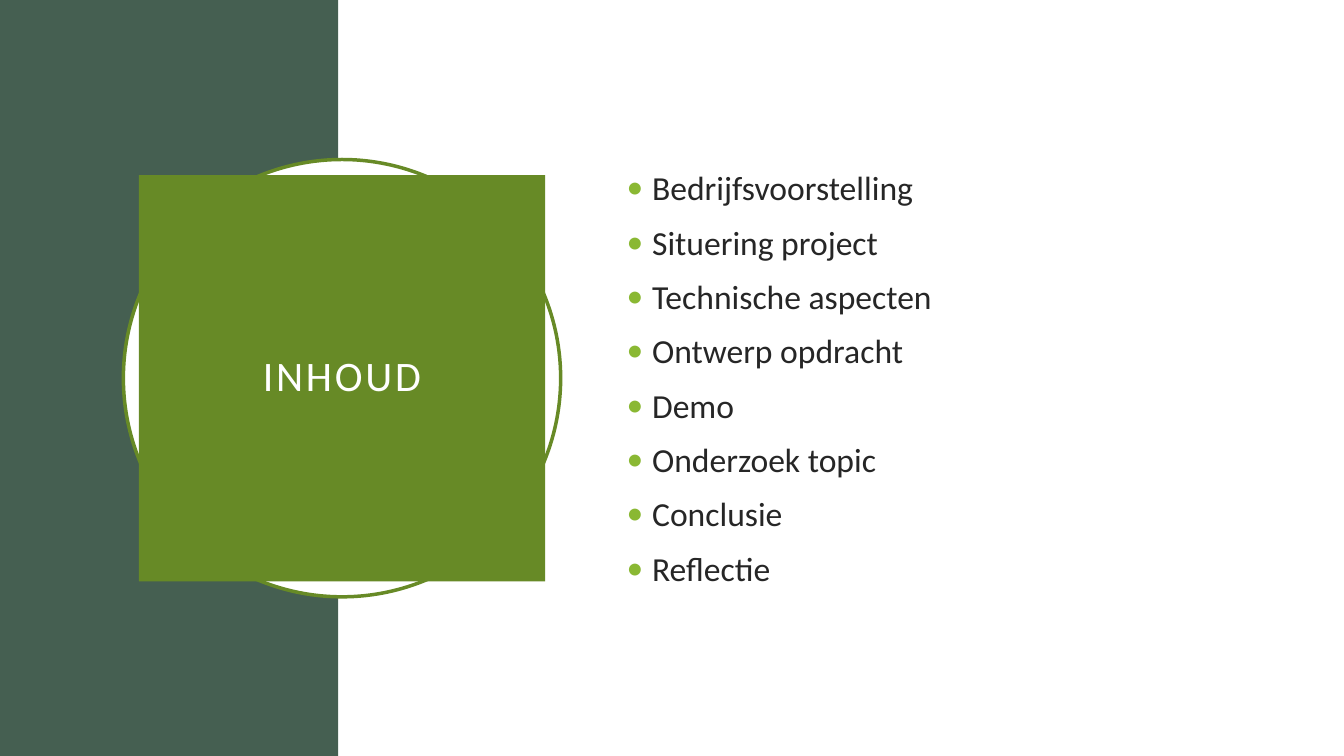
"""Build the contents slide: a two-tone backdrop, a ringed title and a bulleted list."""
from dataclasses import dataclass
from typing import Optional

from lxml import etree
from pptx import Presentation
from pptx import util as u
from pptx.dml.color import RGBColor
from pptx.enum import shapes, text
from pptx.oxml.ns import qn
from pptx.shapes.base import BaseShape
from pptx.slide import Slide
from pptx.text.text import _Paragraph


@dataclass(frozen=True)
class Theme:
    font: str = "Calibri"
    forest: str = "455F51"
    olive: str = "678A26"
    lime: str = "8AB833"
    white: str = "FFFFFF"
    ink: str = "262626"
    title_size: float = 30
    topic_size: float = 24
    ring_width: float = 2.5


@dataclass(frozen=True)
class Box:
    left: float
    top: float
    width: float
    height: float


@dataclass(frozen=True)
class Backdrop:
    preset: shapes.MSO_SHAPE
    box: Box
    fill: str
    outline: Optional[str] = None


THEME = Theme()
SLIDE_WIDTH, SLIDE_HEIGHT = 33.87, 19.05
PANEL_WIDTH = 8.53
CENTRE_X, CENTRE_Y = 8.62, 9.53
TOPICS = (
    "Bedrijfsvoorstelling",
    "Situering project",
    "Technische aspecten",
    "Ontwerp opdracht",
    "Demo",
    "Onderzoek topic",
    "Conclusie",
    "Reflectie",
)


def centred(side: float) -> Box:
    """Return a square box around the title's centre."""
    return Box(CENTRE_X - side / 2, CENTRE_Y - side / 2, side, side)


BACKDROPS = (
    Backdrop(shapes.MSO_SHAPE.RECTANGLE, Box(0, 0, PANEL_WIDTH, SLIDE_HEIGHT), THEME.forest),
    Backdrop(
        shapes.MSO_SHAPE.RECTANGLE,
        Box(PANEL_WIDTH, 0, SLIDE_WIDTH - PANEL_WIDTH, SLIDE_HEIGHT),
        THEME.white,
    ),
    Backdrop(shapes.MSO_SHAPE.OVAL, centred(11.02), THEME.white, THEME.olive),
)


def colour(value: str) -> RGBColor:
    """Turn a hex value into a colour."""
    return RGBColor.from_string(value)


def place(shape: BaseShape, box: Box) -> None:
    """Move and size a shape."""
    shape.left, shape.top = u.Cm(box.left), u.Cm(box.top)
    shape.width, shape.height = u.Cm(box.width), u.Cm(box.height)


def add_backdrop(slide: Slide, backdrop: Backdrop) -> None:
    """Draw one decorative shape."""
    shape = slide.shapes.add_shape(backdrop.preset, 0, 0, 0, 0)
    place(shape, backdrop.box)
    shape.shadow.inherit = False
    shape.fill.solid()
    shape.fill.fore_color.rgb = colour(backdrop.fill)
    if backdrop.outline is None:
        shape.line.fill.background()
    else:
        shape.line.color.rgb = colour(backdrop.outline)
        shape.line.width = u.Pt(THEME.ring_width)


def add_run(paragraph: _Paragraph, wording: str, size: float, ink: str, tracking: float = 0) -> None:
    """Add a formatted run, with tracking in points."""
    run = paragraph.add_run()
    run.text = wording
    run.font.name = THEME.font
    run.font.size = u.Pt(size)
    run.font.color.rgb = colour(ink)
    if tracking:
        run.font._element.set("spc", str(round(tracking * 100)))


def add_bullet(paragraph: _Paragraph) -> None:
    """Give a paragraph a hanging lime bullet."""
    properties = paragraph._p.get_or_add_pPr()
    properties.set("marL", str(u.Cm(0.64)))
    properties.set("indent", str(-u.Cm(0.64)))
    tint = etree.SubElement(properties, qn("a:buClr"))
    etree.SubElement(tint, qn("a:srgbClr"), val=THEME.lime)
    etree.SubElement(properties, qn("a:buFont"), typeface=THEME.font)
    etree.SubElement(properties, qn("a:buChar"), char="•")


def fill_title(slide: Slide) -> None:
    """Format the title as a filled square."""
    title = slide.shapes.title
    place(title, centred(10.24))
    title.fill.solid()
    title.fill.fore_color.rgb = colour(THEME.olive)
    frame = title.text_frame
    frame.word_wrap = True
    frame.vertical_anchor = text.MSO_ANCHOR.MIDDLE
    frame.margin_left = frame.margin_right = u.Cm(0.51)
    frame.margin_top = frame.margin_bottom = u.Cm(0.51)
    heading = frame.paragraphs[0]
    heading.alignment = text.PP_ALIGN.CENTER
    heading.line_spacing = 0.9
    add_run(heading, "INHOUD", THEME.title_size, THEME.white, tracking=2)


def fill_topics(slide: Slide) -> None:
    """List the topics in the body placeholder."""
    body = slide.placeholders[1]
    place(body, Box(15.54, 3.89, 14.78, 11.25))
    frame = body.text_frame
    frame.word_wrap = True
    frame.vertical_anchor = text.MSO_ANCHOR.MIDDLE
    for index, topic in enumerate(TOPICS):
        paragraph = frame.add_paragraph() if index else frame.paragraphs[0]
        paragraph.space_before = u.Pt(10)
        add_bullet(paragraph)
        add_run(paragraph, topic, THEME.topic_size, THEME.ink)


def main() -> None:
    """Build and save the slide."""
    deck = Presentation()
    deck.slide_width, deck.slide_height = u.Cm(SLIDE_WIDTH), u.Cm(SLIDE_HEIGHT)
    slide = deck.slides.add_slide(deck.slide_layouts[1])
    placeholders = list(slide.placeholders)
    for backdrop in BACKDROPS:
        add_backdrop(slide, backdrop)
    for placeholder in placeholders:
        slide.shapes._spTree.append(placeholder._element)
    fill_title(slide)
    fill_topics(slide)
    deck.save("out.pptx")


if __name__ == "__main__":
    main()
